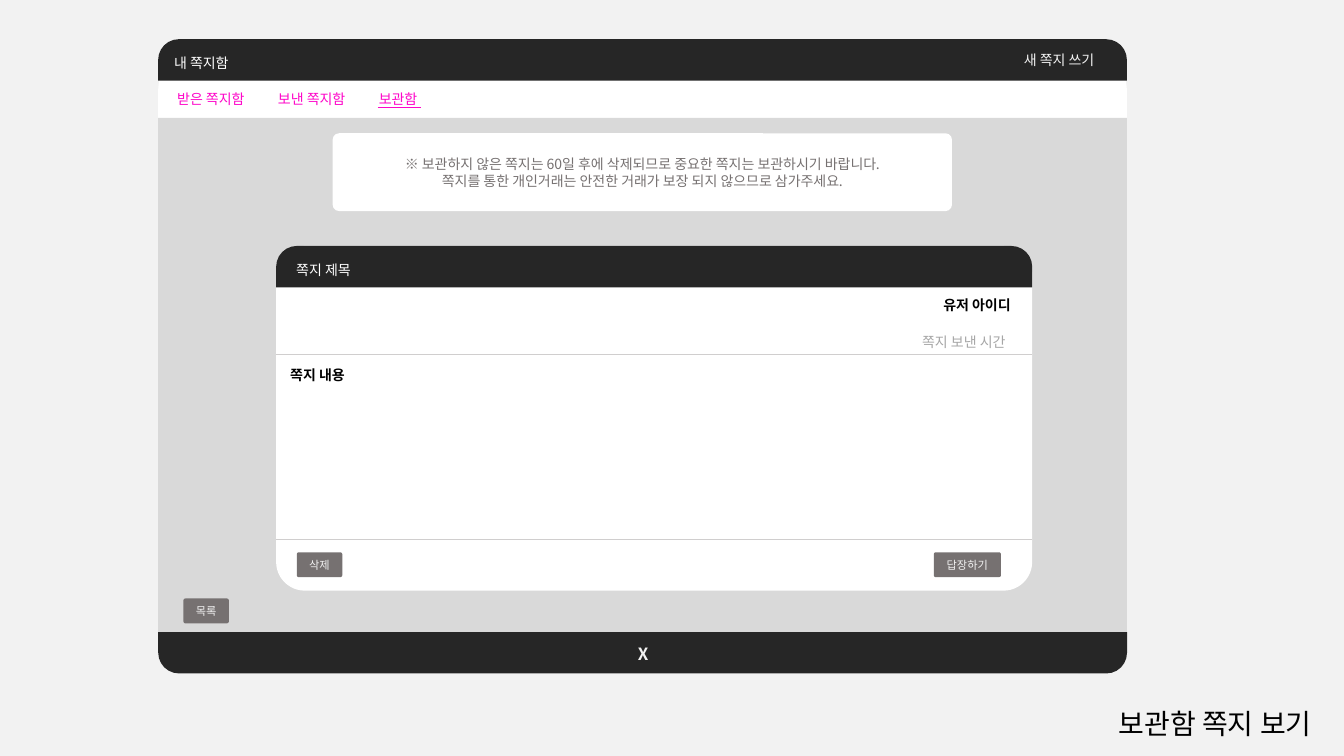
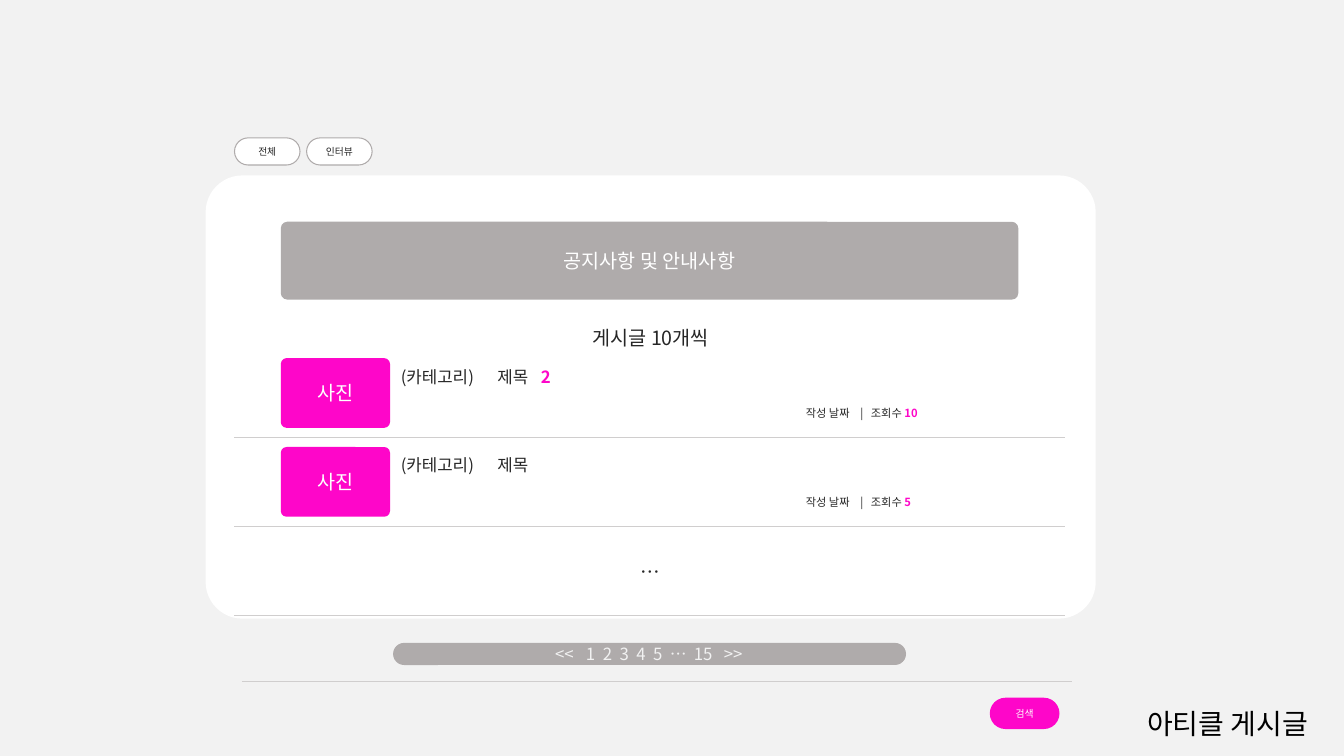
"""Build two wireframe slides: a stored message and an article board."""
import dataclasses
import typing

import lxml.etree
import pptx
import pptx.dml.color
import pptx.enum.shapes
import pptx.enum.text
import pptx.oxml.ns
import pptx.slide
import pptx.util

Pt = pptx.util.Pt
qn = pptx.oxml.ns.qn
KIND = pptx.enum.shapes.MSO_SHAPE
ALIGN = pptx.enum.text.PP_ALIGN
ANCHOR = pptx.enum.text.MSO_ANCHOR

FONT = "Noto Sans CJK KR"
COLORS = {
    "page": "F2F2F2", "white": "FFFFFF", "black": "000000", "ink": "262626",
    "body": "D9D9D9", "button": "767171", "band": "AFABAB", "rule": "D0CECE",
    "muted": "A6A6A6", "pink": "FE06C9",
}
CORNER = 0.083
BAR_HEIGHT = 29.5
PITCH = 63.5


class Box(typing.NamedTuple):
    left: float
    top: float
    width: float
    height: float


@dataclasses.dataclass(frozen=True)
class Text:
    words: str
    size: float = 10
    color: str = "ink"
    bold: bool = False
    centered: bool = False
    accent: str = ""
    tabs: tuple[float, ...] = ()
    indent: float = 7.2


@dataclasses.dataclass(frozen=True)
class Pill:
    box: Box
    text: Text
    fill: str
    corner: float = CORNER
    outline: str = ""


@dataclasses.dataclass(frozen=True)
class Article:
    title: str
    views: str
    replies: str = ""


def rgb(name: str) -> pptx.dml.color.RGBColor:
    """Look up a palette colour."""
    return pptx.dml.color.RGBColor.from_string(COLORS[name])


def write(frame: pptx.text.text.TextFrame, text: Text, anchor: ANCHOR) -> None:
    """Fill a text frame with styled paragraphs."""
    frame.word_wrap = True
    frame.vertical_anchor = anchor
    frame.margin_left = Pt(text.indent)
    frame.margin_top = frame.margin_bottom = 0
    for index, line in enumerate(text.words.split("\n")):
        paragraph = frame.add_paragraph() if index else frame.paragraphs[0]
        paragraph.alignment = ALIGN.CENTER if text.centered else ALIGN.LEFT
        paragraph.line_spacing = Pt(text.size * 1.2)
        font = paragraph.font
        font.name, font.size, font.bold = FONT, Pt(text.size), text.bold
        font.color.rgb = rgb(text.color)
        defaults = paragraph._p.pPr.find(qn("a:defRPr"))
        lxml.etree.SubElement(defaults, qn("a:ea"), typeface=FONT)
        if text.tabs:
            stops = lxml.etree.Element(qn("a:tabLst"))
            for stop in text.tabs:
                lxml.etree.SubElement(stops, qn("a:tab"), pos=str(Pt(stop)), algn="l")
            defaults.addprevious(stops)
        paragraph.add_run().text = line
        if text.accent:
            accent = paragraph.add_run()
            accent.text = text.accent
            accent.font.bold = True
            accent.font.color.rgb = rgb("pink")


def add_label(slide: pptx.slide.Slide, box: Box, text: Text,
              anchor: ANCHOR = ANCHOR.TOP) -> None:
    """Place free text."""
    label = slide.shapes.add_textbox(*map(Pt, box))
    write(label.text_frame, text, anchor)


def add_block(slide: pptx.slide.Slide, box: Box, fill: str, text: Text | None = None,
              kind: KIND = KIND.ROUNDED_RECTANGLE, corner: float = CORNER,
              outline: str = "", rotation: float = 0) -> None:
    """Place a flat filled shape, with text if given."""
    block = slide.shapes.add_shape(kind, *map(Pt, box))
    block.shadow.inherit = False
    block.rotation = rotation
    if len(block.adjustments):
        block.adjustments[0] = corner
    block.fill.solid()
    block.fill.fore_color.rgb = rgb(fill)
    if outline:
        block.line.color.rgb = rgb(outline)
        block.line.width = Pt(0.75)
    else:
        block.line.fill.background()
    if text:
        write(block.text_frame, text, ANCHOR.MIDDLE)


def add_pill(slide: pptx.slide.Slide, pill: Pill) -> None:
    """Place a button."""
    add_block(slide, pill.box, pill.fill, pill.text, corner=pill.corner,
              outline=pill.outline)


def add_rule(slide: pptx.slide.Slide, left: float, right: float, top: float,
             color: str = "rule") -> None:
    """Draw a thin horizontal line."""
    rule = slide.shapes.add_connector(pptx.enum.shapes.MSO_CONNECTOR.STRAIGHT,
                                      Pt(left), Pt(top), Pt(right), Pt(top))
    rule.line.color.rgb = rgb(color)
    rule.line.width = Pt(0.5)
    lxml.etree.SubElement(rule._element.spPr, qn("a:effectLst"))


def add_window(slide: pptx.slide.Slide, box: Box, title: Text) -> None:
    """Draw a white panel with a dark title bar."""
    add_block(slide, box, "white")
    add_block(slide, box._replace(height=BAR_HEIGHT), "ink", title,
              kind=KIND.ROUND_2_SAME_RECTANGLE, corner=0.5)


def add_page(deck: pptx.presentation.Presentation, title: str,
             left: float) -> pptx.slide.Slide:
    """Add a grey slide with its name at the bottom right."""
    slide = deck.slides.add_slide(deck.slide_layouts[6])
    slide.background.fill.solid()
    slide.background.fill.fore_color.rgb = rgb("page")
    add_label(slide, Box(left, 504.5, 160, 28), Text(title, 20, "black", centered=True))
    return slide


def build_message(deck: pptx.presentation.Presentation) -> None:
    """Build the stored message view."""
    slide = add_page(deck, "보관함 쪽지 보기", 788)
    window = Box(113, 28, 692, 453)
    card = Box(197.3, 175.7, 540, 246.2)
    card_right = card.left + card.width

    add_window(slide, window, Text("내 쪽지함", color="white"))
    add_block(slide, Box(window.left, 84.25, window.width, 368), "body",
              kind=KIND.RECTANGLE)
    add_block(slide, Box(window.left, 451.5, window.width, BAR_HEIGHT), "ink",
              kind=KIND.ROUND_2_SAME_RECTANGLE, corner=0.5, rotation=180)
    notice = ("※ 보관하지 않은 쪽지는 60일 후에 삭제되므로 중요한 쪽지는 보관하시기 바랍니다.\n"
              "쪽지를 통한 개인거래는 안전한 거래가 보장 되지 않으므로 삼가주세요.")
    add_block(slide, Box(237.6, 95.2, 442.4, 55.6), "white",
              Text(notice, color="button", centered=True))
    add_window(slide, card, Text("쪽지 제목", color="white", indent=10))

    for box, text in (
        (Box(119.5, 65, 432, 16),
         Text("받은 쪽지함\t보낸 쪽지함\t보관함", color="pink", tabs=(72, 144))),
        (Box(724.3, 37, 75, 16), Text("새 쪽지 쓰기", color="page")),
        (Box(666.7, 212, 75, 16), Text("유저 아이디", color="black", bold=True)),
        (Box(651.6, 238, 90, 16), Text("쪽지 보낸 시간", color="muted")),
        (Box(200.2, 262, 75, 16), Text("쪽지 내용", color="black", bold=True)),
        (Box(448.6, 459.5, 22, 18), Text("X", 12, "page", bold=True)),
    ):
        add_label(slide, box, text)

    for left, top, width, words in (
        (212, 394.5, 32.5, "삭제"), (667, 394.5, 48, "답장하기"), (131, 427.5, 32.5, "목록"),
    ):
        add_pill(slide, Pill(Box(left, top, width, 17.8),
                             Text(words, 8, "page", centered=True), "button"))

    for top in (253, 385.4):
        add_rule(slide, card.left, card_right, top)
    add_rule(slide, 270, 300.6, 76.8, "pink")


def add_article(slide: pptx.slide.Slide, article: Article, top: float) -> None:
    """Draw one article row."""
    add_block(slide, Box(200.6, top, 78, 49.8), "pink",
              Text("사진", 14, "white", centered=True))
    title = f"(카테고리)\t{article.title}" + ("\t" if article.replies else "")
    add_label(slide, Box(279.2, top + 3, 280, 20),
              Text(title, 12, accent=article.replies, tabs=(69, 100)), ANCHOR.MIDDLE)
    add_label(slide, Box(568.5, top + 29, 170, 20),
              Text("작성 날짜\t|\t조회수 ", 8, accent=article.views, tabs=(39, 46.5)),
              ANCHOR.MIDDLE)


def build_board(deck: pptx.presentation.Presentation) -> None:
    """Build the article board."""
    slide = add_page(deck, "아티클 게시글", 797)
    card = Box(146.9, 125.3, 635.8, 316.6)
    for index, category in enumerate(("전체", "인터뷰")):
        add_pill(slide, Pill(Box(167.5 + 51.5 * index, 98.5, 46.8, 19.4),
                             Text(category, 7, centered=True), "white", 0.5, "band"))
    add_block(slide, card, "white")
    add_block(slide, Box(200.6, 158.4, 526.8, 55.6), "band",
              Text("공지사항 및 안내사항", 14, "white", centered=True))
    for words, top in (("게시글 10개씩", 232), ("…", 399)):
        add_label(slide, Box(card.left, top, card.width, 18),
                  Text(words, 14, centered=True), ANCHOR.MIDDLE)

    articles = (Article("제목", "10", "2"), Article("제목", "5"))
    for index, article in enumerate(articles):
        add_article(slide, article, 255.8 + PITCH * index)
    for index in range(3):
        add_rule(slide, 167.5, 760.5, 312.2 + PITCH * index)

    numbers = tuple(22 + 12 * step for step in range(6))
    add_pill(slide, Pill(
        Box(280.8, 459.2, 366.4, 15.8),
        Text("<<\t1\t2\t3\t4\t5\t…\t15\t>>", 12, "page",
             tabs=(*numbers, 99, 120.5), indent=113.5),
        "band", 0.5))
    add_rule(slide, 172.8, 765.5, 486.6)
    add_pill(slide, Pill(Box(707, 498.4, 49.8, 22.4),
                         Text("검색", 7, "white", centered=True), "pink", 0.5))


def main() -> None:
    """Build and save the deck."""
    deck = pptx.Presentation()
    deck.slide_width, deck.slide_height = Pt(960), Pt(540)
    build_message(deck)
    build_board(deck)
    deck.save("out.pptx")


if __name__ == "__main__":
    main()
